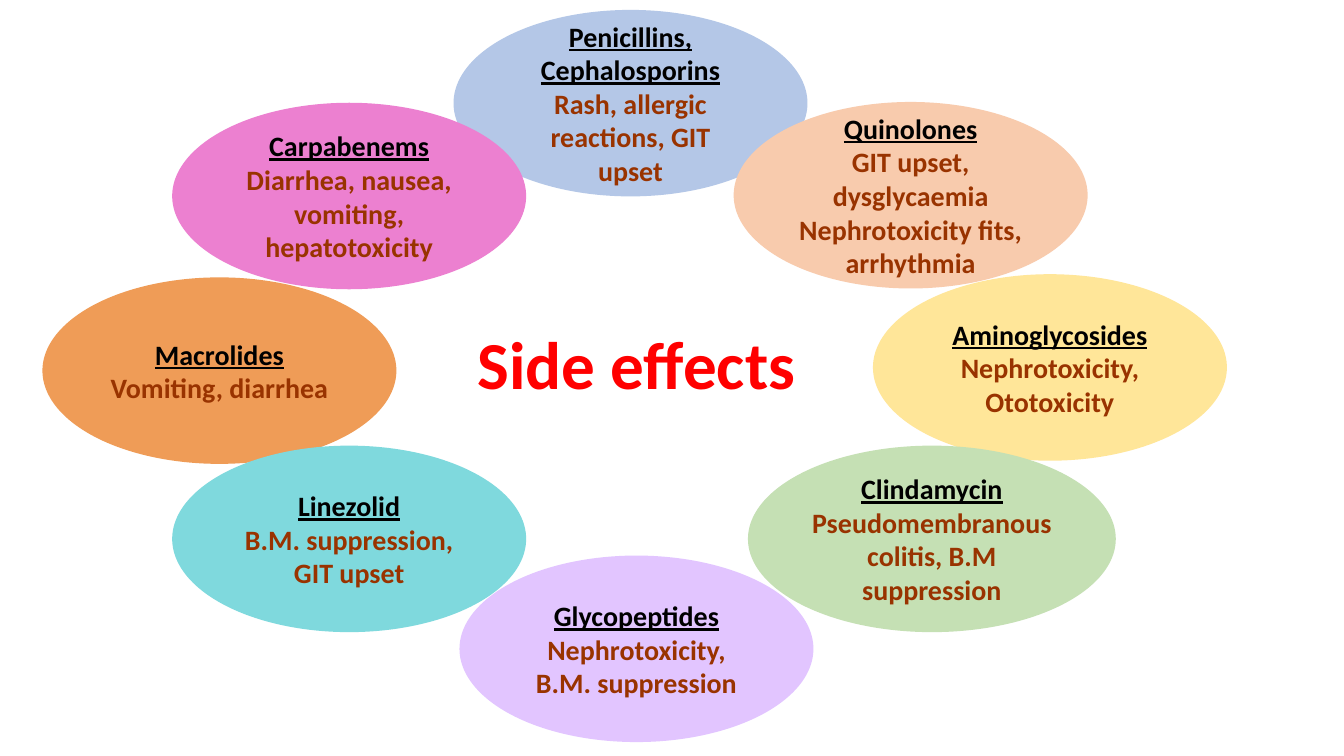
"""Build the antibiotic side effects slide."""
from dataclasses import dataclass

from pptx import Presentation
from pptx.dml.color import RGBColor
from pptx.enum.shapes import MSO_SHAPE
from pptx.enum.text import MSO_ANCHOR, MSO_AUTO_SIZE, PP_ALIGN
from pptx.util import Cm, Pt


@dataclass(frozen=True)
class Theme:
    font: str = "Calibri"
    title_size: int = 48
    body_size: int = 20
    title: str = "FF0000"
    drug: str = "000000"
    effect: str = "993300"
    blue: str = "B4C7E7"
    orange: str = "EF9C57"
    yellow: str = "FFE699"
    teal: str = "7FD9DD"
    lilac: str = "E2C5FF"
    green: str = "C5E0B4"
    pink: str = "EC80D0"
    peach: str = "F8CBAD"


THEME = Theme()
OVAL_WIDTH, OVAL_HEIGHT = 8.92, 4.7
DRUG_CLASSES = [
    ("Penicillins, Cephalosporins", "Rash, allergic reactions, GIT upset",
     11.43, 0.25, OVAL_WIDTH, THEME.blue),
    ("Macrolides", "Vomiting, diarrhea", 1.07, 6.99, OVAL_WIDTH, THEME.orange),
    ("Aminoglycosides", "Nephrotoxicity, Ototoxicity",
     22, 6.91, OVAL_WIDTH, THEME.yellow),
    ("Linezolid", "B.M. suppression, GIT upset",
     4.34, 11.23, OVAL_WIDTH, THEME.teal),
    ("Glycopeptides", "Nephrotoxicity, B.M. suppression",
     11.58, 14, OVAL_WIDTH, THEME.lilac),
    ("Clindamycin", "Pseudomembranous colitis, B.M suppression",
     18.85, 11.23, 9.27, THEME.green),
    ("Carpabenems", "Diarrhea, nausea, vomiting, hepatotoxicity",
     4.34, 2.59, OVAL_WIDTH, THEME.pink),
    ("Quinolones", "GIT upset, dysglycaemia Nephrotoxicity fits, arrhythmia",
     18.49, 2.57, OVAL_WIDTH, THEME.peach),
]


def add_run(p, text, size, color, underline=False):
    """Add one bold run to a centred paragraph."""
    p.alignment = PP_ALIGN.CENTER
    r = p.add_run()
    r.text = text
    r.font.name = THEME.font
    r.font.size = Pt(size)
    r.font.bold = True
    r.font.underline = underline
    r.font.color.rgb = RGBColor.from_string(color)


def set_title(s, text):
    """Place the title in the middle of the ring."""
    sp = s.shapes.title
    sp.left, sp.top, sp.width, sp.height = Cm(10.44), Cm(7.98), Cm(11.2), Cm(2.31)
    tf = sp.text_frame
    tf.word_wrap = True
    tf.auto_size = MSO_AUTO_SIZE.NONE
    tf.vertical_anchor = MSO_ANCHOR.MIDDLE
    add_run(tf.paragraphs[0], text, THEME.title_size, THEME.title)


def add_oval(s, drug, effect, left, top, width, fill):
    """Add one oval naming a drug class and its side effects."""
    sp = s.shapes.add_shape(
        MSO_SHAPE.OVAL, Cm(left), Cm(top), Cm(width), Cm(OVAL_HEIGHT))
    sp.shadow.inherit = False
    sp.fill.solid()
    sp.fill.fore_color.rgb = RGBColor.from_string(fill)
    sp.line.fill.background()
    tf = sp.text_frame
    tf.word_wrap = True
    tf.vertical_anchor = MSO_ANCHOR.MIDDLE
    add_run(tf.paragraphs[0], drug, THEME.body_size, THEME.drug, underline=True)
    add_run(tf.add_paragraph(), effect, THEME.body_size, THEME.effect)


def main():
    """Create the slide and save it."""
    prs = Presentation()
    prs.slide_width, prs.slide_height = Cm(33.87), Cm(19.05)
    s = prs.slides.add_slide(prs.slide_layouts.get_by_name("Title Only"))
    set_title(s, "Side effects")
    for drug_class in DRUG_CLASSES:
        add_oval(s, *drug_class)
    prs.save("out.pptx")


if __name__ == "__main__":
    main()
